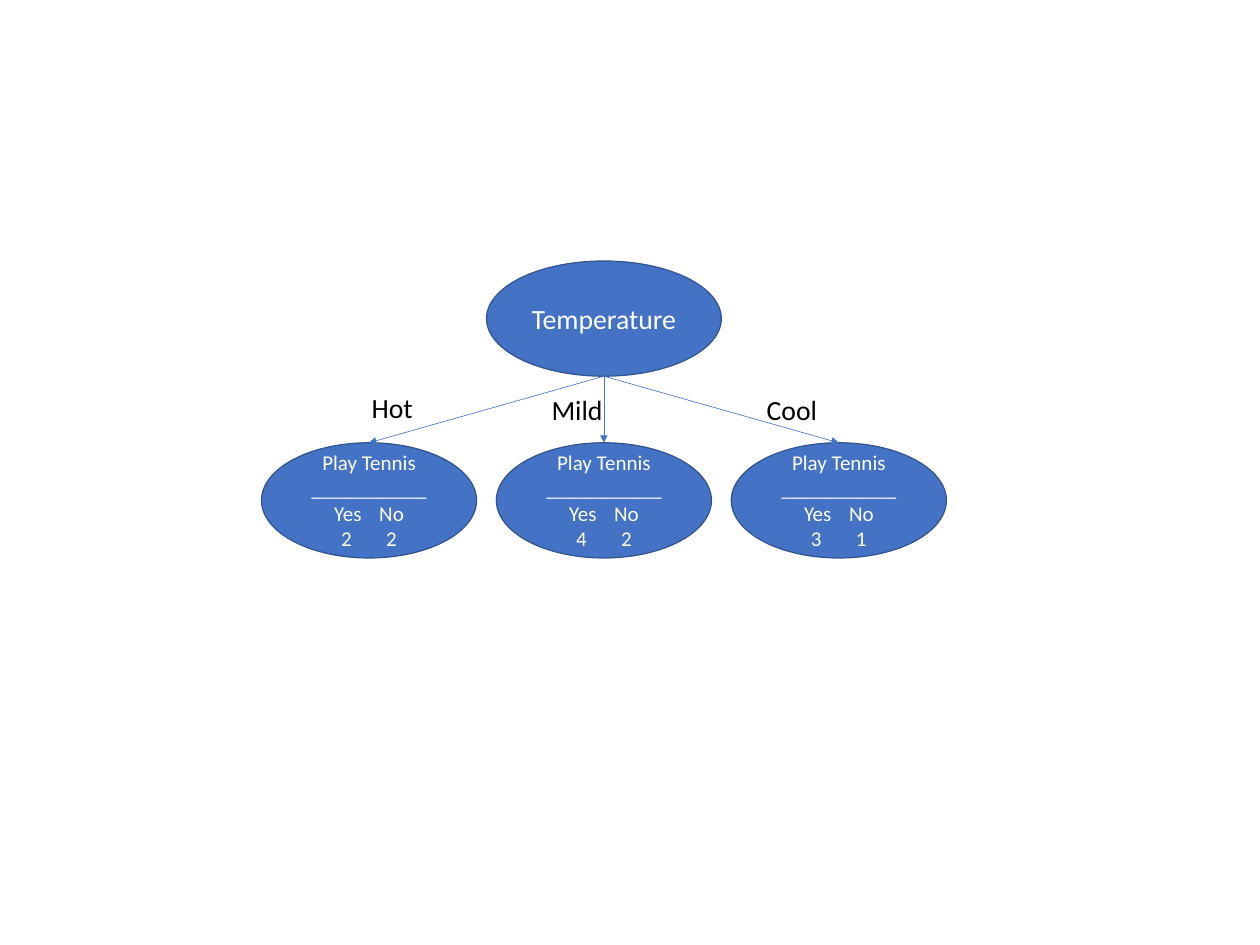
from lxml import etree
from pptx import Presentation
from pptx import util as u
from pptx.dml.color import RGBColor
from pptx.enum import shapes, text
from pptx.oxml.ns import qn

BLUE, OUTLINE, WHITE, BLACK = "4472C4", "325491", "FFFFFF", "000000"
COLUMN = 2.61                   # distance between branches
ROOT_X = 6.71                   # centre of the tree
ROOT_TOP, LEAF_TOP = 2.9, 4.92
NODE_HEIGHT, LEAF_WIDTH = 1.28, 2.39


def rgb(value):
    return RGBColor.from_string(value)


def write(shape, lines, size=22.2, color=BLACK, align=text.PP_ALIGN.LEFT, tab=None):
    frame = shape.text_frame
    frame.word_wrap = True
    frame.text = "\n".join(lines)
    for paragraph in frame.paragraphs:
        paragraph.alignment = align
        font = paragraph.runs[0].font
        font.name, font.size = "Calibri", u.Pt(size)
        font.color.rgb = rgb(color)
        if tab:
            stops = etree.SubElement(paragraph._p.get_or_add_pPr(), qn("a:tabLst"))
            etree.SubElement(stops, qn("a:tab"), pos=str(u.Inches(tab)), algn="l")


deck = Presentation()
deck.slide_width, deck.slide_height = u.Inches(14), u.Inches(10.5)
slide = deck.slides.add_slide(deck.slide_layouts[6])

# Nodes: the root first, then one leaf per temperature
leaf_lines = ["Play Tennis", "_" * 11, "Yes\tNo"]
nodes = [(ROOT_X, ROOT_TOP, COLUMN, ["Temperature"], 22.2)]
for step, counts in zip((-1, 0, 1), ("2\t2", "4\t2", "3\t1")):
    nodes.append((ROOT_X + step * COLUMN, LEAF_TOP, LEAF_WIDTH, leaf_lines + [counts], 16.8))

ovals = []
for center, top, width, lines, size in nodes:
    oval = slide.shapes.add_shape(
        shapes.MSO_SHAPE.OVAL, u.Inches(center - width / 2), u.Inches(top),
        u.Inches(width), u.Inches(NODE_HEIGHT))
    oval.shadow.inherit = False
    oval.fill.solid()
    oval.fill.fore_color.rgb = rgb(BLUE)
    oval.line.color.rgb = rgb(OUTLINE)
    oval.line.width = u.Pt(1)
    oval.text_frame.vertical_anchor = text.MSO_ANCHOR.MIDDLE
    write(oval, lines, size=size, color=WHITE, align=text.PP_ALIGN.CENTER, tab=0.5)
    ovals.append(oval)

# Branches from the root's foot to the top of each leaf
root, *leaves = ovals
for leaf in leaves:
    branch = slide.shapes.add_connector(
        shapes.MSO_CONNECTOR.STRAIGHT, root.left + root.width // 2, root.top + root.height,
        leaf.left + leaf.width // 2, leaf.top)
    branch.end_connect(leaf, 0)
    branch.line.color.rgb = rgb(BLUE)
    branch.line.width = u.Pt(0.5)
    etree.SubElement(branch.line._get_or_add_ln(), qn("a:tailEnd"), type="triangle")
    etree.SubElement(branch._element.spPr, qn("a:effectLst"))

# Branch labels
for value, left, top, width in (("Hot", 4.03, 4.29, 0.97),
                                ("Mild", 6.03, 4.31, 0.97),
                                ("Cool", 8.42, 4.31, 0.91)):
    label = slide.shapes.add_textbox(*map(u.Inches, (left, top, width, 0.48)))
    write(label, [value])

deck.save("out.pptx")
